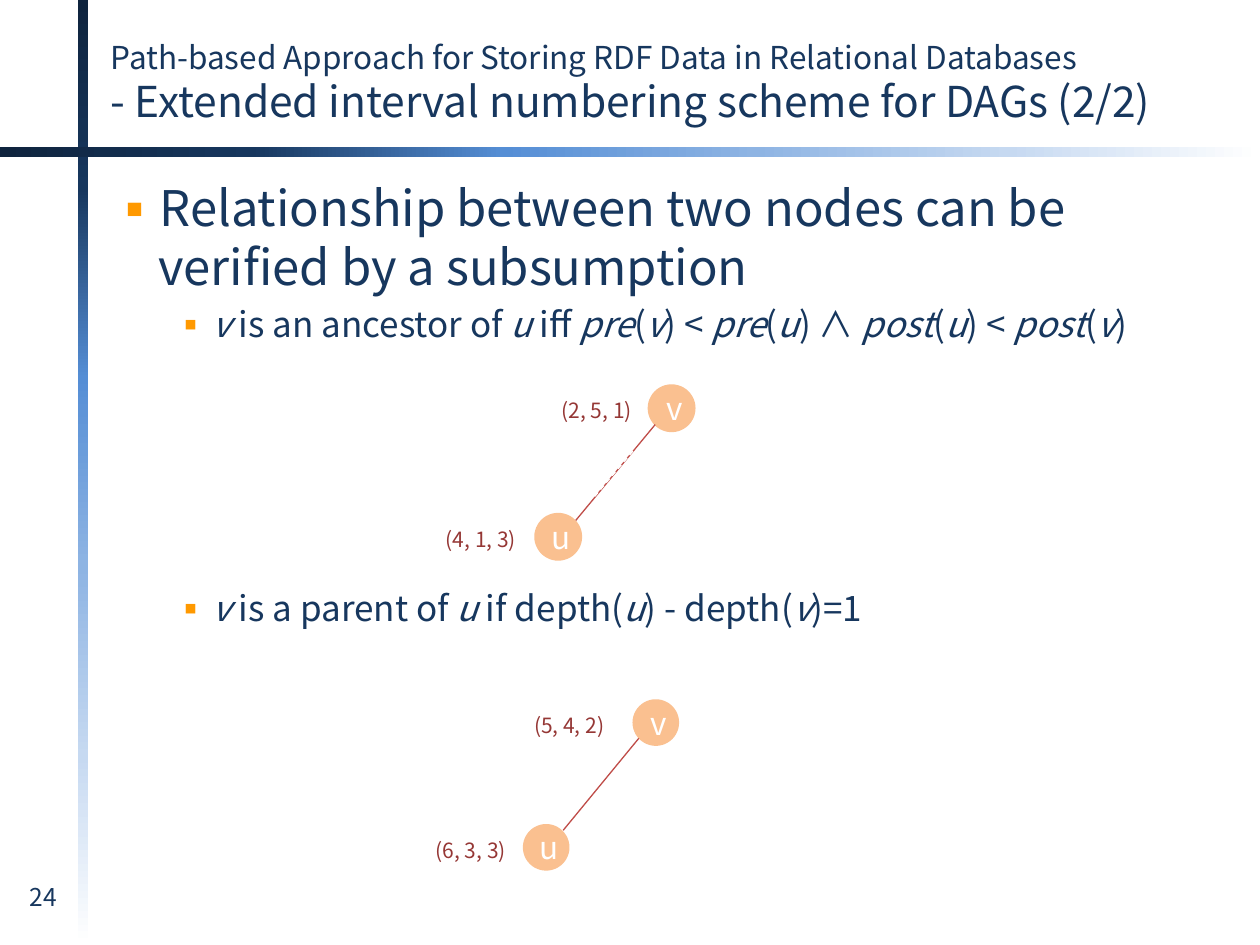
from dataclasses import dataclass
from lxml import etree
from pptx import Presentation
from pptx.dml.color import RGBColor
from pptx.enum import dml, shapes, text
from pptx.oxml.ns import qn
from pptx.util import Inches, Pt


@dataclass(frozen=True)
class Theme:
    face: str = "Noto Sans CJK KR"
    navy: str = "17375E"
    gold: str = "FF9900"
    peach: str = "FAC090"
    red: str = "BF4C48"
    wine: str = "953735"
    white: str = "FFFFFF"
    fade: tuple = ("0F243E", "17375E", "558ED5", "8EB4E3", "C6D9F1", "FFFFFF")
    sub: float = 18
    head: float = 24.3
    lead: float = 28
    item: float = 20
    num: float = 14
    node: float = 18
    tag: float = 12


def put(obj, vals):
    for key, val in vals.items():
        setattr(obj, key, val)


def write(para, words, size, color, slant=False):
    run = para.add_run()
    run.text = words
    put(run.font, {"name": theme.face, "size": Pt(size), "italic": slant})
    run.font.color.rgb = RGBColor.from_string(color)


theme = Theme()
deck = Presentation()
put(deck, {"slide_width": Inches(10), "slide_height": Inches(7.5)})
slide = deck.slides.add_slide(deck.slide_layouts[6])
wrap = {"word_wrap": True}

for box, turn in (((0.62, 0, 0.08, 7.5), 270), ((0, 1.17, 10, 0.08), 0)):
    bar = slide.shapes.add_shape(shapes.MSO_SHAPE.RECTANGLE, *map(Inches, box))
    bar.shadow.inherit = False
    bar.line.fill.background()
    bar.fill.gradient()
    bar.fill.gradient_angle = turn
    stops = bar._element.spPr.find(".//" + qn("a:gsLst"))
    for old in list(stops):
        stops.remove(old)
    for step, shade in enumerate(theme.fade):
        stop = etree.SubElement(stops, qn("a:gs"), pos=str(step * 20000))
        etree.SubElement(stop, qn("a:srgbClr"), val=shade)

title = slide.shapes.add_textbox(*map(Inches, (0.78, 0.16, 8.52, 0.94))).text_frame
put(title, {**wrap, "vertical_anchor": text.MSO_ANCHOR.MIDDLE, "margin_bottom": Inches(0.11)})
para = title.paragraphs[0]
para.line_spacing = Pt(29)
write(para, "Path-based Approach for Storing RDF Data in Relational Databases", theme.sub, theme.navy)
para.add_line_break()
write(para, "- Extended interval numbering scheme for DAGs (2/2)", theme.head, theme.navy)

body = slide.shapes.add_textbox(*map(Inches, (0.78, 1.33, 9, 6.02))).text_frame
put(body, {**wrap, "margin_top": Inches(0.08)})
points = (
    ("Relationship between two nodes can be verified by a subsumption",
     0, theme.lead, 33.7, 0, 0.38, 0.38),
    ("*v* is an ancestor of *u *iff *pre*(*v*) < *pre*(*u*) ∧ *post*(*u*) < *post*(*v*)",
     1, theme.item, 24, 4, 0.81, 0.31),
    ("*v *is a parent of *u* if depth(*u*) - depth(*v*)=1",
     1, theme.item, 24, 138, 0.81, 0.31),
)
for row, (words, level, size, pitch, gap, left, hang) in enumerate(points):
    para = body.add_paragraph() if row else body.paragraphs[0]
    put(para, {"level": level, "line_spacing": Pt(pitch), "space_before": Pt(gap)})
    props = para._p.get_or_add_pPr()
    props.set("marL", str(Inches(left)))
    props.set("indent", str(-Inches(hang)))
    tint = etree.SubElement(props, qn("a:buClr"))
    etree.SubElement(tint, qn("a:srgbClr"), val=theme.gold)
    etree.SubElement(props, qn("a:buFont"), typeface=theme.face)
    etree.SubElement(props, qn("a:buChar"), char="▪")
    for part, piece in enumerate(words.split("*")):
        if piece:
            write(para, piece, size, theme.navy, part % 2 == 1)

foot = slide.shapes.add_textbox(*map(Inches, (0.06, 6.95, 0.57, 0.4))).text_frame
put(foot, wrap)
foot.paragraphs[0].alignment = text.PP_ALIGN.CENTER
write(foot.paragraphs[0], "24", theme.num, theme.navy)

graphs = (
    (0.38, (("v", 5.14, 3.05), ("u", 4.24, 4.07)),
     ((5.2, 3.37, 4.57, 4.13, theme.red, None),
      (4.72, 3.94, 5.04, 3.56, theme.white, dml.MSO_LINE.DASH)),
     (("(2, 5, 1)", 4.36, 3.11, 0.84), ("(4, 1, 3)", 3.44, 4.13, 0.87))),
    (0.37, (("v", 5.02, 5.55), ("u", 4.15, 6.54)),
     ((5.07, 5.86, 4.47, 6.59, theme.red, None),),
     (("(5, 4, 2)", 4.14, 5.61, 0.94), ("(6, 3, 3)", 3.36, 6.6, 0.85))),
)
for size, nodes, edges, tags in graphs:
    group = slide.shapes.add_group_shape().shapes
    for name, left, top in nodes:
        node = group.add_shape(shapes.MSO_SHAPE.OVAL, *map(Inches, (left, top, size, size)))
        node.shadow.inherit = False
        node.fill.solid()
        node.fill.fore_color.rgb = RGBColor.from_string(theme.peach)
        node.line.fill.background()
        put(node.text_frame, {"margin_left": Inches(0.05), "margin_right": 0, "margin_top": 0,
                              "margin_bottom": 0, "word_wrap": False,
                              "vertical_anchor": text.MSO_ANCHOR.MIDDLE})
        para = node.text_frame.paragraphs[0]
        para.alignment = text.PP_ALIGN.CENTER
        write(para, name, theme.node, theme.white)
    for *ends, color, dash in edges:
        edge = group.add_connector(shapes.MSO_CONNECTOR.STRAIGHT, *map(Inches, ends))
        edge.line.color.rgb = RGBColor.from_string(color)
        put(edge.line, {"width": Pt(0.75), "dash_style": dash})
        etree.SubElement(edge._element.spPr, qn("a:effectLst"))
    for words, left, top, width in tags:
        tag = group.add_textbox(*map(Inches, (left, top, width, 0.3))).text_frame
        put(tag, {**wrap, "auto_size": text.MSO_AUTO_SIZE.SHAPE_TO_FIT_TEXT})
        write(tag.paragraphs[0], words, theme.tag, theme.wine)

deck.save("out.pptx")
